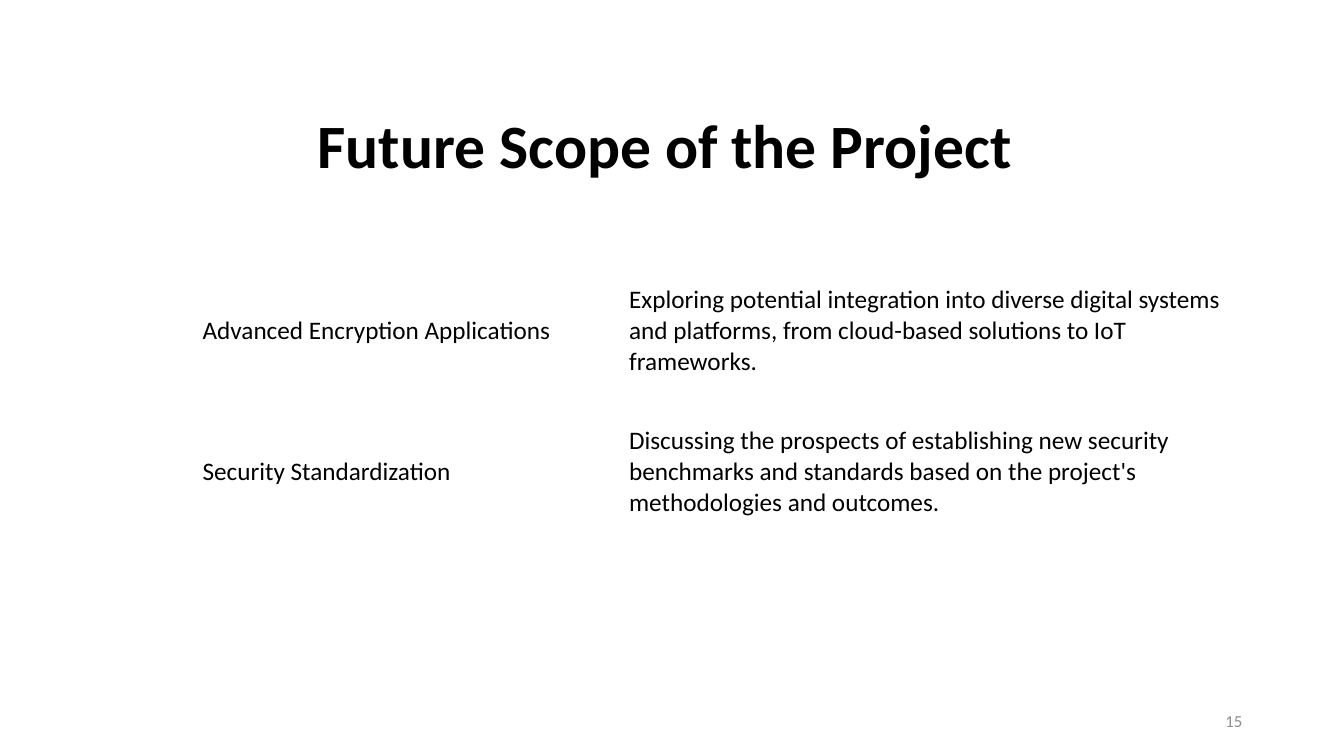
from dataclasses import dataclass

from pptx import Presentation
from pptx.dml.color import RGBColor as Rgb
from pptx.enum.text import MSO_ANCHOR as Anchor, PP_ALIGN as Align
from pptx.slide import Slide
from pptx.text.text import TextFrame as Frame
from pptx.util import Inches, Pt

COLORS = {"ink": "000000", "gray": "8C8C8C"}


@dataclass
class Label:
    text: str
    left: float
    top: float
    width: float
    height: float
    size: int
    color: str
    align: Align
    anchor: Anchor
    bold: bool = False
    space: float = 1.0
    inset: float = 0.1


@dataclass
class Scope:
    topic: str
    detail: str


LABELS = [
    Label("Future Scope of the Project", 0.92, 0.4, 11.5, 1.45, 44, "ink",
          Align.CENTER, Anchor.BOTTOM, True, 0.9, 0.24),
    Label("15", 9.42, 6.95, 3, 0.4, 12, "gray", Align.RIGHT, Anchor.MIDDLE),
]
SCOPES = [
    Scope("Advanced Encryption Applications",
          "Exploring potential integration into diverse digital systems "
          "and platforms, from cloud-based solutions to IoT frameworks."),
    Scope("Security Standardization",
          "Discussing the prospects of establishing new security benchmarks "
          "and standards based on the project's methodologies and outcomes."),
]
WIDTHS = [4.23, 6.17]
ROW = 1.4


def write(frame: Frame, text: str, size: int, color: str, bold: bool = False) -> None:
    frame.text = text
    font = frame.paragraphs[0].runs[0].font
    font.name = "Calibri"
    font.size = Pt(size)
    font.bold = bold
    font.color.rgb = Rgb.from_string(COLORS[color])


def draw_label(slide: Slide, label: Label) -> None:
    box = slide.shapes.add_textbox(Inches(label.left), Inches(label.top),
                                   Inches(label.width), Inches(label.height))
    frame = box.text_frame
    frame.word_wrap = True
    frame.vertical_anchor = label.anchor
    frame.margin_right = Inches(label.inset)
    write(frame, label.text, label.size, label.color, label.bold)
    line = frame.paragraphs[0]
    line.alignment = label.align
    line.line_spacing = label.space


def draw_table(slide: Slide, scopes: list[Scope]) -> None:
    table = slide.shapes.add_table(
        len(scopes), len(WIDTHS), Inches(1.91), Inches(2.58),
        Inches(sum(WIDTHS)), Inches(ROW * len(scopes))).table
    table.first_row = False
    table.horz_banding = False
    for column, width in zip(table.columns, WIDTHS):
        column.width = Inches(width)
    for row, scope in zip(table.rows, scopes):
        for cell, text in zip(row.cells, (scope.topic, scope.detail)):
            cell.fill.background()
            cell.vertical_anchor = Anchor.MIDDLE
            write(cell.text_frame, text, 18, "ink")


def main() -> None:
    deck = Presentation()
    deck.slide_width = Inches(13.33)
    deck.slide_height = Inches(7.5)
    slide = deck.slides.add_slide(deck.slide_layouts[6])
    title, number = LABELS
    draw_label(slide, title)
    draw_table(slide, SCOPES)
    draw_label(slide, number)
    deck.save("out.pptx")


if __name__ == "__main__":
    main()
